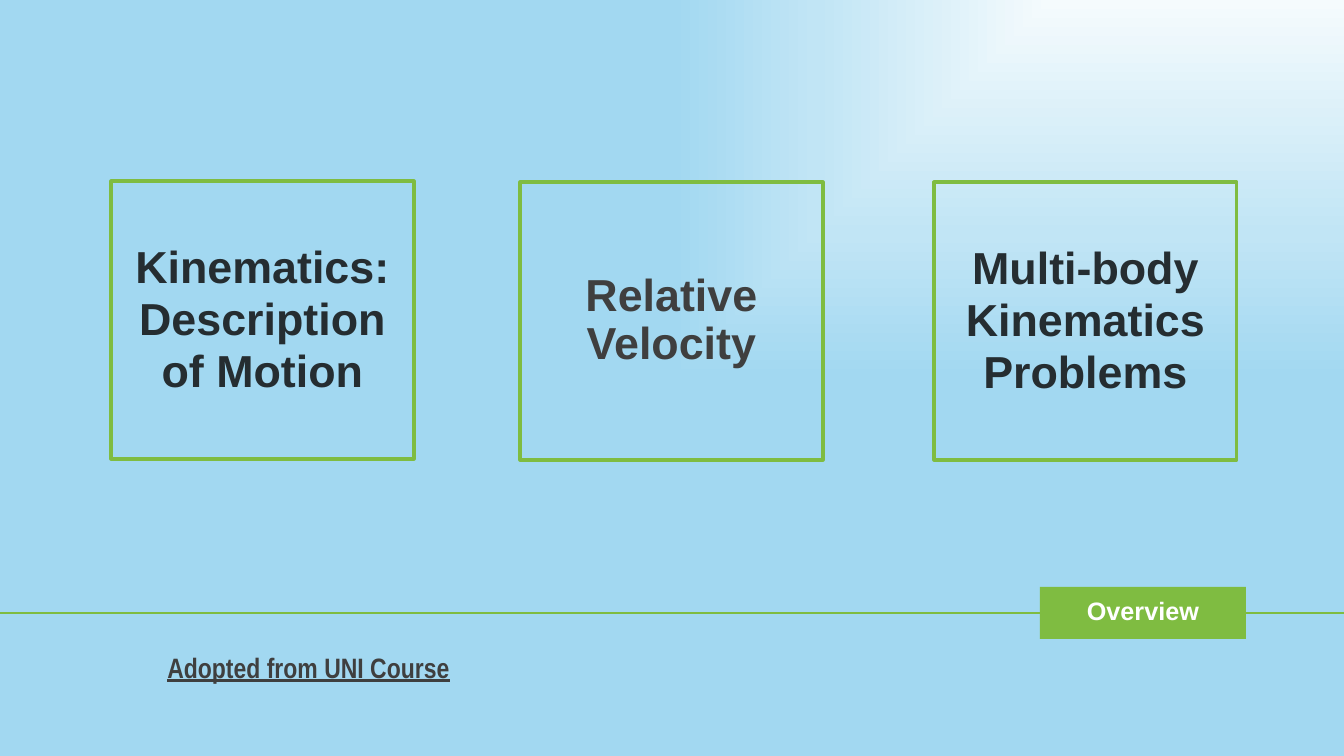
"""Builds the overview slide of a kinematics lecture: three topics above a section line."""
from lxml.etree import SubElement
from pptx import Presentation
from pptx.dml.color import RGBColor
from pptx.enum.shapes import MSO_CONNECTOR as Connector, MSO_SHAPE as Shape
from pptx.enum.text import MSO_ANCHOR as Anchor, MSO_AUTO_SIZE as AutoSize, PP_ALIGN as Align
from pptx.oxml import parse_xml
from pptx.oxml.ns import nsdecls, qn
from pptx.util import Emu, Pt

GREEN = RGBColor(0x7F, 0xBC, 0x41)
WHITE = RGBColor(0xFF, 0xFF, 0xFF)
GRAY = RGBColor(0x3F, 0x3F, 0x3F)
DARK = RGBColor(0x25, 0x2D, 0x31)
SKY_STOPS = (
    (0, RGBColor(0xF5, 0xFB, 0xFD)),
    (62, RGBColor(0xC1, 0xE5, 0xF5)),
    (100, RGBColor(0xA2, 0xD8, 0xF1)),
)
EMU_PER_PX = 914400 / 100.8


def px(*lengths):
    return [Emu(round(length * EMU_PER_PX)) for length in lengths]


def write(shape, text, spacing, anchor, **font_format):
    frame = shape.text_frame
    frame.word_wrap = True
    frame.vertical_anchor = anchor
    frame.text = text
    paragraph = frame.paragraphs[0]
    paragraph.alignment = Align.CENTER
    paragraph.line_spacing = spacing
    font = paragraph.runs[0].font
    font.color.rgb = font_format.pop("color")
    for name, value in font_format.items():
        setattr(font, name, value)


presentation = Presentation()
presentation.slide_width, presentation.slide_height = px(1344, 756)
slide = presentation.slides.add_slide(presentation.slide_layouts[5])
shapes = slide.shapes

slide.background.fill.gradient()
gradient = slide.element.find(".//" + qn("a:gradFill"))
stops = "".join(
    f'<a:gs pos="{position * 1000}"><a:srgbClr val="{color}"/></a:gs>'
    for position, color in SKY_STOPS
)
gradient.getparent().replace(gradient, parse_xml(
    f'<a:gradFill {nsdecls("a")} rotWithShape="1"><a:gsLst>{stops}</a:gsLst>'
    '<a:path path="rect"><a:fillToRect l="100000" b="100000"/></a:path></a:gradFill>'
))

badge = shapes.add_shape(Shape.RECTANGLE, *px(1040, 587, 206, 52))
badge.shadow.inherit = False
badge.fill.solid()
badge.fill.fore_color.rgb = GREEN
badge.line.fill.background()

title = shapes.title
title.left, title.top, title.width, title.height = px(1040, 588, 206, 49)
write(title, "Overview", 0.9, Anchor.MIDDLE, name="Arial", size=Pt(18), bold=True, color=WHITE)
title.text_frame.auto_size = AutoSize.NONE
title.element.addprevious(badge.element)

left_line = shapes.add_connector(Connector.STRAIGHT, *px(-4, 613, 1040, 613))
left_line.end_connect(badge, 1)
right_line = shapes.add_connector(Connector.STRAIGHT, *px(1246, 613, 1392, 613))
right_line.begin_connect(badge, 3)
for line in (left_line, right_line):
    line.line.color.rgb = GREEN
    line.line.width = Pt(1.5)
    SubElement(line.element.spPr, qn("a:effectLst"))

credit = shapes.add_textbox(*px(145, 629, 327, 54))
write(credit, "Adopted from UNI Course", 1.5, Anchor.TOP,
      name="Arial Narrow", size=Pt(20), bold=True, underline=True, color=GRAY)
credit.text_frame.auto_size = AutoSize.SHAPE_TO_FIT_TEXT

topics = (
    (111, 181, "Kinematics: Description of Motion", 0.96, DARK),
    (520, 182, "Relative Velocity", 0.9, GRAY),
    (934, 182, "Multi-body Kinematics Problems", 0.96, DARK),
)
for left, top, text, spacing, color in topics:
    topic = shapes.add_shape(Shape.RECTANGLE, *px(left, top, 303, 278))
    topic.shadow.inherit = False
    topic.fill.background()
    topic.line.color.rgb = GREEN
    topic.line.width = Pt(2.25)
    write(topic, text, spacing, Anchor.MIDDLE, name="Arial", size=Pt(32), bold=True, color=color)

presentation.save("out.pptx")
